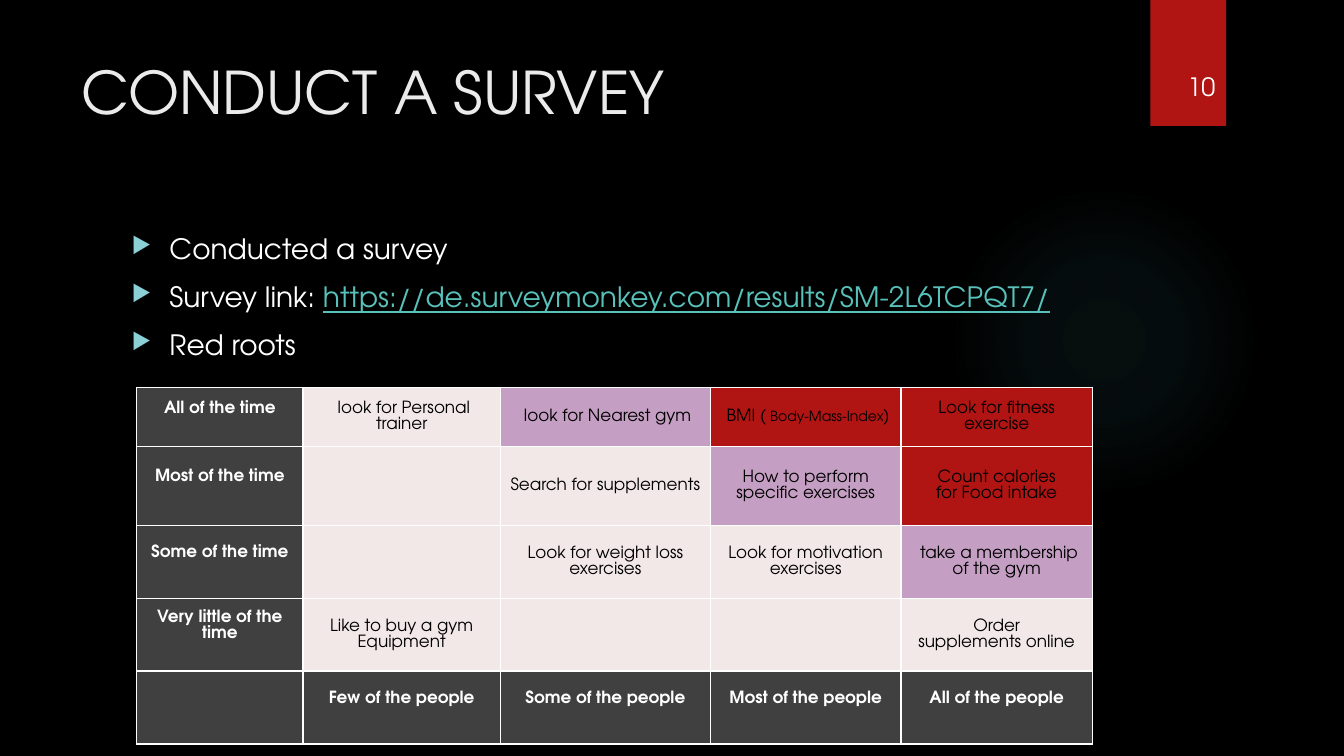
from dataclasses import dataclass

from lxml.etree import SubElement
from pptx import Presentation
from pptx.dml.color import RGBColor
from pptx.enum.shapes import MSO_SHAPE
from pptx.enum.text import MSO_ANCHOR, MSO_AUTO_SIZE, PP_ALIGN
from pptx.oxml import parse_xml
from pptx.oxml.ns import nsdecls, qn
from pptx.util import Pt


@dataclass(frozen=True)
class Theme:
    font: str = "TeX Gyre Adventor"
    bullet_font: str = "OpenSymbol"
    background: str = "000000"
    title: str = "EBEBEB"
    light: str = "FFFFFF"
    dark: str = "000000"
    accent: str = "B01513"
    glow: str = "50B9C1"
    bullet: str = "8AD0D6"
    link: str = "58C1BA"
    header: str = "404040"
    pale: str = "F2E8E7"
    violet: str = "C59EC3"
    title_size: float = 42
    body_size: float = 20
    number_size: float = 18
    cell_size: float = 12
    small_size: float = 10


THEME = Theme()
LINK = "https://de.surveymonkey.com/results/SM-2L6TCPQT7/"
BULLETS = [["Conducted a survey"], ["Survey link: ", LINK], ["Red roots"]]

COLUMN_WIDTHS = [118.9, 140.9, 150.2, 136, 136.9]
ROW_HEIGHTS = [42.1, 56.4, 52.1, 52.1, 52.1]
HEADER, PALE, VIOLET, RED = THEME.header, THEME.pale, THEME.violet, THEME.accent
# Each cell: text and fill; a line break starts a new paragraph
SURVEY_ROWS = [
    [("All of the time", HEADER), (" look for Personal trainer", PALE),
     (" look for Nearest gym", VIOLET), (" BMI ( Body-Mass-Index)", RED),
     ("Look for fitness exercise", RED)],
    [("Most of the time", HEADER), ("", PALE), ("Search for supplements", PALE),
     ("How to perform specific exercises", VIOLET),
     ("Count calories\nfor Food intake", RED)],
    [("Some of the time", HEADER), ("", PALE),
     ("Look for weight loss exercises", PALE),
     ("Look for motivation exercises", PALE),
     (" take a membership of the gym", VIOLET)],
    [("Very little of the time", HEADER), ("Like to buy a gym Equipment", PALE),
     ("", PALE), ("", PALE), ("Order\nsupplements online", PALE)],
    [("", HEADER), ("Few of the people", HEADER), ("Some of the people", HEADER),
     ("Most of the people", HEADER), ("All of the people", HEADER)],
]
SMALL_TEXT = " Body-Mass-Index"


def rgb(color):
    return RGBColor.from_string(color)


def style_font(font, size, color, bold=False):
    font.name = THEME.font
    font.size = Pt(size)
    font.bold = bold
    font.color.rgb = rgb(color)


def add_plain_shape(slide, kind, left, top, width, height, color):
    shape = slide.shapes.add_shape(kind, Pt(left), Pt(top), Pt(width), Pt(height))
    shape.shadow.inherit = False
    shape.fill.solid()
    shape.fill.fore_color.rgb = rgb(color)
    shape.line.fill.background()
    return shape


def add_glow(slide, left, top, size):
    ellipse = add_plain_shape(slide, MSO_SHAPE.OVAL, left, top, size, size, THEME.glow)
    # Radial fade from the centre to a clear edge
    stops = "".join(
        f'<a:gs pos="{position}000"><a:srgbClr val="{THEME.glow}">'
        f'<a:alpha val="{opacity}000"/></a:srgbClr></a:gs>'
        for position, opacity in [(0, 7), (36, 6), (69, 0), (100, 0)])
    gradient = parse_xml(
        f'<a:gradFill {nsdecls("a")}><a:gsLst>{stops}</a:gsLst><a:path path="circle">'
        '<a:fillToRect l="50000" t="50000" r="50000" b="50000"/></a:path></a:gradFill>')
    properties = ellipse.element.spPr
    properties.replace(properties.find(qn("a:solidFill")), gradient)


def add_page_tab(slide, left, top, width, height, number):
    add_plain_shape(slide, MSO_SHAPE.RECTANGLE, left, top, width, height, THEME.accent)
    box = slide.shapes.add_textbox(Pt(left + 19.2), Pt(top + 47.5), Pt(34.5), Pt(29))
    box.text_frame.word_wrap = False
    paragraph = box.text_frame.paragraphs[0]
    paragraph.text = number
    style_font(paragraph.font, THEME.number_size, THEME.light)


def add_title(slide, left, top, width, height, text):
    title = slide.shapes.title
    title.left, title.top, title.width, title.height = map(Pt, (left, top, width, height))
    frame = title.text_frame
    frame.auto_size = MSO_AUTO_SIZE.NONE
    frame.vertical_anchor = MSO_ANCHOR.TOP
    paragraph = frame.paragraphs[0]
    paragraph.text = text
    paragraph.alignment = PP_ALIGN.LEFT
    style_font(paragraph.font, THEME.title_size, THEME.title)


def add_bullet(paragraph):
    properties = paragraph._p.get_or_add_pPr()
    properties.set("marL", str(Pt(27)))
    properties.set("indent", str(-Pt(27)))
    color = SubElement(properties, qn("a:buClr"))
    SubElement(color, qn("a:srgbClr"), val=THEME.bullet)
    SubElement(properties, qn("a:buSzPct"), val="80000")
    SubElement(properties, qn("a:buFont"), typeface=THEME.bullet_font)
    SubElement(properties, qn("a:buChar"), char="▶")


def add_bullets(slide, left, top, width, height, items):
    frame = slide.shapes.add_textbox(Pt(left), Pt(top), Pt(width), Pt(height)).text_frame
    frame.word_wrap = True
    for index, parts in enumerate(items):
        paragraph = frame.add_paragraph() if index else frame.paragraphs[0]
        add_bullet(paragraph)
        if index:
            paragraph.space_before = Pt(10)
        style_font(paragraph.font, THEME.body_size, THEME.light)
        for part in parts:
            run = paragraph.add_run()
            run.text = part
            if part == LINK:
                run.font.color.rgb = rgb(THEME.link)
                run.font.underline = True


def add_borders(cell):
    properties = cell._tc.get_or_add_tcPr()
    for index, side in enumerate(("lnL", "lnR", "lnT", "lnB")):
        properties.insert(index, parse_xml(
            f'<a:{side} {nsdecls("a")} w="{Pt(1)}"><a:solidFill>'
            f'<a:srgbClr val="{THEME.light}"/></a:solidFill></a:{side}>'))


def fill_cell(cell, text, color):
    is_header = color == THEME.header
    cell.fill.solid()
    cell.fill.fore_color.rgb = rgb(color)
    add_borders(cell)
    cell.vertical_anchor = MSO_ANCHOR.MIDDLE
    cell.margin_left = cell.margin_right = Pt(5)
    cell.margin_top = Pt(0)
    cell.margin_bottom = Pt(12 if is_header else 0)
    for index, line in enumerate(text.split("\n")):
        frame = cell.text_frame
        paragraph = frame.add_paragraph() if index else frame.paragraphs[0]
        paragraph.alignment = PP_ALIGN.CENTER
        style_font(paragraph.font, THEME.cell_size,
                   THEME.light if is_header else THEME.dark, is_header)
        for part in line.partition(SMALL_TEXT):
            if part:
                run = paragraph.add_run()
                run.text = part
                if part == SMALL_TEXT:
                    run.font.size = Pt(THEME.small_size)


def add_survey_table(slide, left, top):
    table = slide.shapes.add_table(
        len(ROW_HEIGHTS), len(COLUMN_WIDTHS), Pt(left), Pt(top),
        Pt(sum(COLUMN_WIDTHS)), Pt(sum(ROW_HEIGHTS))).table
    for column, width in zip(table.columns, COLUMN_WIDTHS):
        column.width = Pt(width)
    for row, height, contents in zip(table.rows, ROW_HEIGHTS, SURVEY_ROWS):
        row.height = Pt(height)
        for cell, (text, color) in zip(row.cells, contents):
            fill_cell(cell, text, color)


def build_survey_slide(presentation):
    slide = presentation.slides.add_slide(presentation.slide_layouts[5])
    slide.background.fill.solid()
    slide.background.fill.fore_color.rgb = rgb(THEME.background)
    add_glow(slide, 677.5, 131.8, 221.8)
    add_title(slide, 51, 36, 741, 110, "CONDUCT A SURVEY")
    add_bullets(slide, 87, 162, 704, 110, BULLETS)
    add_survey_table(slide, 97.6, 276.7)
    add_page_tab(slide, 821.8, 0, 54, 90, "10")


def main():
    presentation = Presentation()
    presentation.slide_width, presentation.slide_height = Pt(960), Pt(540)
    build_survey_slide(presentation)
    presentation.save("out.pptx")


if __name__ == "__main__":
    main()
